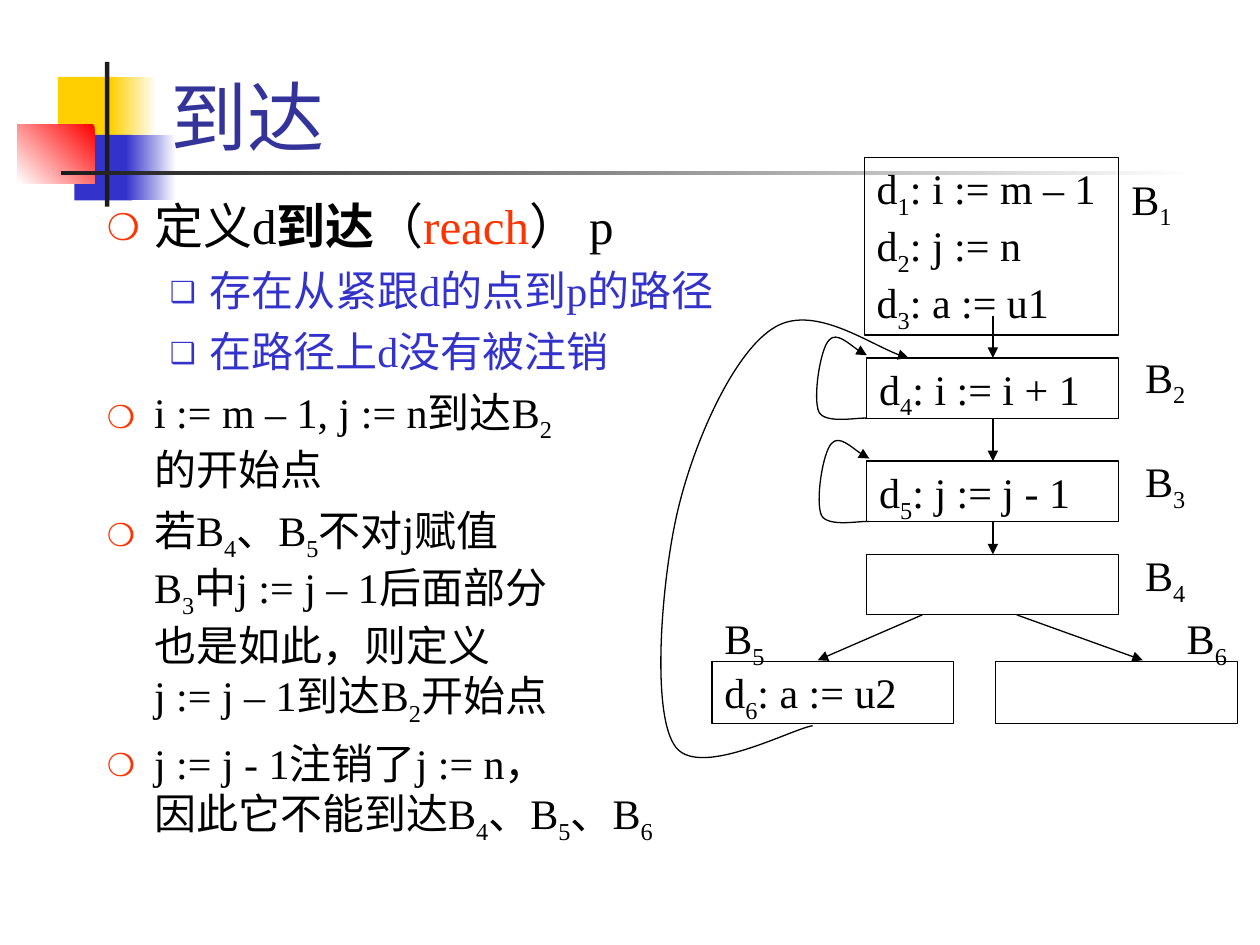
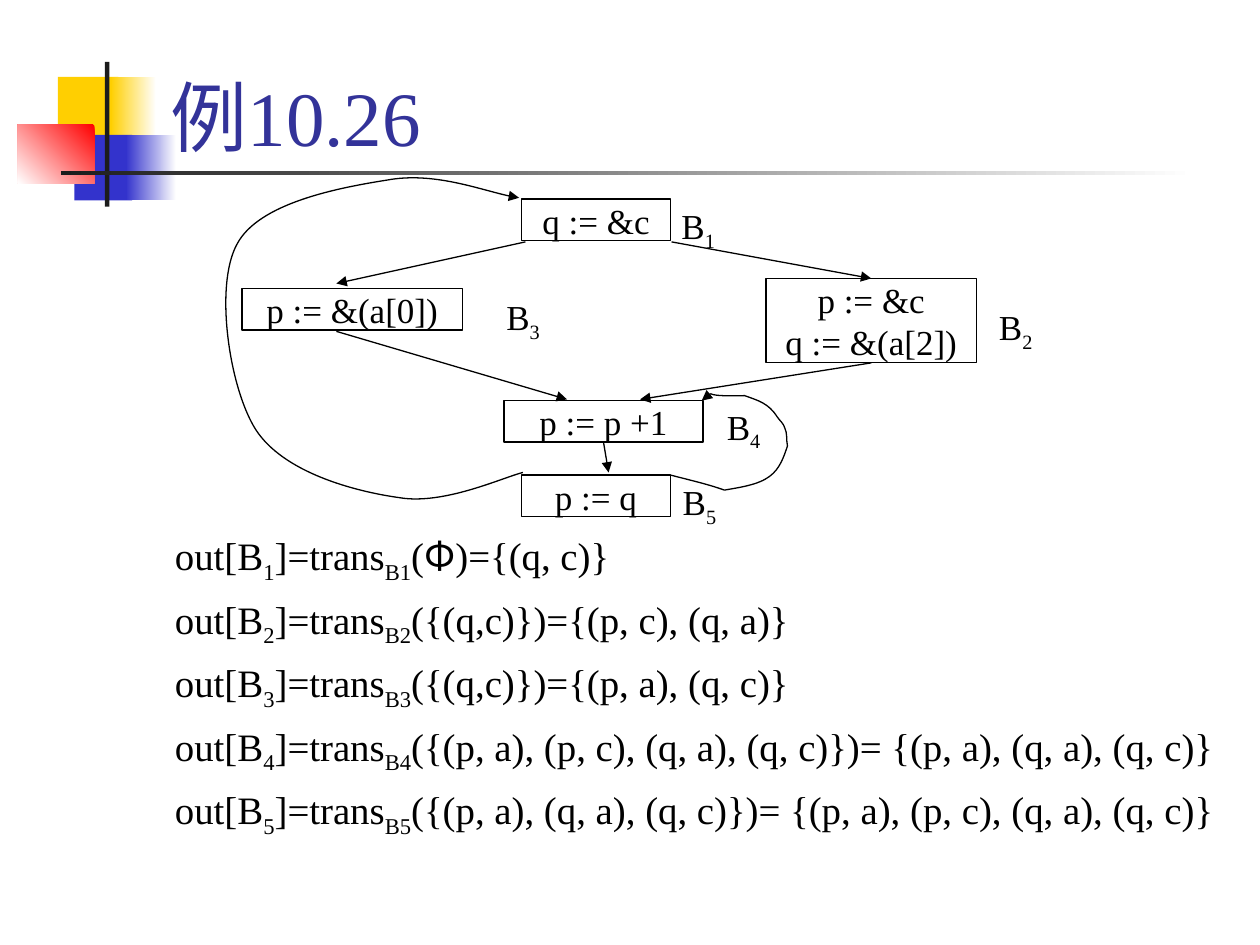
from dataclasses import dataclass
from typing import Optional, Union

import pptx
import pptx.dml.color
import pptx.enum.shapes
import pptx.enum.text
import pptx.oxml
import pptx.oxml.ns
import pptx.util
from lxml import etree

# The slide is a grid of 100 columns by 75 rows
WIDTH, HEIGHT = pptx.util.Inches(10), pptx.util.Inches(7.5)
CELL = WIDTH / 100
LATIN, CJK = "Times New Roman", "Noto Sans CJK SC"
COLORS = {
    "ink": "000000", "title": "333399", "blue": "3333CC", "accent": "FF3300",
    "yellow": "FFCF01", "red": "FF0000", "white": "FFFFFF", "bar": "1C1C1C",
}
# Inline marks that switch a format on and off
MARKS = {"_": "subscript", "*": "bold", "^": "accent", "~": "cjk"}
TOP, BOTTOM = 0, 2
Point = tuple[float, float]
Area = tuple[float, float, float, float]
End = Union[Point, tuple[str, int]]


@dataclass
class Band:
    area: Area
    start: str
    end: Optional[str] = None
    angle: int = 180


@dataclass
class Bullet:
    char: str
    color: str
    percent: int
    margin: float
    hang: float


@dataclass
class Block:
    name: str
    area: Area
    lines: list[str]
    label: Area
    label_spacing: float = 0.9


@dataclass
class Arrow:
    start: End
    end: End


@dataclass
class Flow:
    size: int
    blocks: list[Block]
    arrows: list[Arrow]
    curves: list[list[Point]]
    centered: bool = False


BANDS = [
    Band((4.6, 6.1, 4.8, 5.2), "yellow"),
    Band((8.8, 6.1, 3.6, 5.2), "white", "yellow"),
    Band((5.9, 10.7, 4.6, 5.2), "blue"),
    Band((10, 10.7, 4, 5.2), "white", "blue"),
    Band((1.4, 9.9, 6.1, 4.65), "red", "white", 135),
    Band((8.33, 4.9, 0.35, 11.5), "bar"),
    Band((4.83, 13.6, 90, 0.3), "white", "bar"),
]
CIRCLE = Bullet("❍", "accent", 75, 3.75, 3.75)
SQUARE = Bullet("❑", "blue", 69, 8.13, 3.13)
PLAIN = Bullet("", "ink", 100, 3.75, 3.75)

REACH_POINTS = [
    ("定义d*到达*（^reach^） p", CIRCLE, 28, "ink"),
    ("存在从紧跟d的点到p的路径", SQUARE, 24, "blue"),
    ("在路径上d没有被注销", SQUARE, 24, "blue"),
    ("i := m – 1, j := n到达B_2_\n的开始点", CIRCLE, 24, "ink"),
    ("若B_4_、B_5_不对j赋值\nB_3_中j := j – 1后面部分\n也是如此，则定义\n"
     "j := j – 1到达B_2_开始点", CIRCLE, 24, "ink"),
    ("j := j - 1注销了j := n，\n因此它不能到达B_4_、B_5_、B_6_", CIRCLE, 24, "ink"),
]
OUT_SETS = [
    "(~Φ~)={(q, c)}",
    "({(q,c)})={(p, c), (q, a)}",
    "({(q,c)})={(p, a), (q, c)}",
    "({(p, a), (p, c), (q, a), (q, c)})= {(p, a), (q, a), (q, c)}",
    "({(p, a), (q, a), (q, c)})= {(p, a), (p, c), (q, a), (q, c)}",
]


def self_loop(left: float, top: float) -> list[Point]:
    """Curve from a block's lower left corner back to its upper left corner."""
    steps = [(4.3, 6.9), (3.7, 6.8), (1, 7.4), (0.5, 6.4), (0, 5.3), (0.6, 1.4),
             (1.3, 0.7), (1.9, 0), (3.7, 1.7), (4.3, 1.9)]
    return [(left + x, top + y) for x, y in steps]


REACH_FLOW = Flow(
    size=24,
    blocks=[
        Block("B1", (68.6, 12.5, 20.2, 14.1),
              ["d_1_: i := m – 1", "d_2_: j := n", "d_3_: a := u1"], (88.8, 13.3, 5.8, 5.1)),
        Block("B2", (68.8, 28.4, 20, 4.8), ["d_4_: i := i + 1"], (89.9, 27.4, 6.7, 5.6), 1),
        Block("B3", (68.8, 36.6, 20, 4.8), ["d_5_: j := j - 1"], (89.9, 35.7, 6.7, 5.6), 1),
        Block("B4", (68.8, 44, 20, 4.75), [], (89.9, 43.2, 6.7, 5.1)),
        Block("B5", (56.5, 52.5, 19.2, 4.9), ["d_6_: a := u2"], (56.5, 48.2, 5.8, 5.1)),
        Block("B6", (79, 52.5, 19.2, 4.9), [], (93.2, 48.2, 5.8, 5.1)),
    ],
    arrows=[
        Arrow((78.8, 25.1), ("B2", TOP)),
        Arrow(("B2", BOTTOM), ("B3", TOP)),
        Arrow(("B3", BOTTOM), ("B4", TOP)),
        Arrow((73.2, 48.8), (64.9, 52.4)),
        Arrow((80.7, 48.8), (90.7, 52.4)),
    ],
    curves=[
        [(64.5, 57.6), (62.7, 57.9), (55.2, 62), (53.5, 59.1), (51.7, 56.3),
         (52.5, 46), (53.8, 40.5), (55.1, 35), (58.2, 28.1), (61.3, 26.1),
         (64.4, 24), (69.8, 27.9), (72.1, 28.4)],
        self_loop(64.5, 26.3),
        self_loop(64.7, 34.5),
    ],
)
POINTER_FLOW = Flow(
    size=20,
    centered=True,
    blocks=[
        Block("B1", (41.4, 15.8, 11.8, 3.3), ["q := &c"], (53.1, 15.8, 5.8, 4.4)),
        Block("B2", (60.8, 22.1, 16.7, 6.7), ["p := &c\nq := &(a[2])"], (78.3, 23.8, 5.8, 4.4)),
        Block("B3", (19.2, 22.9, 17.5, 3.3), ["p := &(a[0])"], (39.2, 23, 5.8, 4.4)),
        Block("B4", (40, 31.8, 15.8, 3.3), ["p := p +1"], (56.7, 31.7, 5.8, 4.4)),
        Block("B5", (41.4, 37.7, 11.8, 3.3), ["p := q"], (53.2, 37.7, 5.8, 4.4)),
    ],
    arrows=[
        Arrow((53.3, 19.2), ("B2", TOP)),
        Arrow(("B2", BOTTOM), (50.8, 31.7)),
        Arrow(("B4", BOTTOM), (48.3, 37.5)),
        Arrow((41.7, 19.2), (26.7, 22.5)),
        Arrow((26.7, 26.3), (45, 31.7)),
    ],
    curves=[
        [(41.5, 37.5), (39.9, 37.9), (35.2, 40.1), (31.7, 39.5), (28.1, 39),
         (22.5, 37.5), (20.3, 34.1), (18.2, 30.8), (17, 22.7), (18.8, 19.4),
         (20.5, 16.1), (26.9, 14.9), (30.7, 14.3), (34.4, 13.6), (39, 15.4),
         (41.2, 15.7)],
        [(53.2, 37.7), (54.7, 38.1), (56.1, 38.4), (57.5, 38.9), (58.6, 38.7),
         (60.2, 38.5), (61.1, 37.8), (61.9, 37.2), (62.2, 36.3), (62.5, 35.4),
         (62.4, 34.9), (62.5, 34.4), (62.3, 34), (62.2, 33.6), (61.9, 33.4),
         (61.7, 33.1), (61, 32), (60.2, 31.8), (59.1, 31.4), (55.9, 31.5),
         (56.8, 30.8), (55.7, 31.8)],
    ],
)


def cells(*counts: float) -> list[int]:
    return [round(count * CELL) for count in counts]


def rgb(name: str) -> pptx.dml.color.RGBColor:
    return pptx.dml.color.RGBColor.from_string(COLORS[name])


def child(parent, tag: str, **attributes: str):
    return etree.SubElement(parent, pptx.oxml.ns.qn(tag), attributes)


# Text
def add_para(frame, text: str, *, size: float, color: str = "ink", before: float = 0,
             spacing: Optional[float] = None, centered: bool = False,
             bullet: Optional[Bullet] = None) -> None:
    para = frame.paragraphs[0]
    if para.runs:
        para = frame.add_paragraph()
        para.space_before = pptx.util.Pt(before)
    if bullet:
        props = para._p.get_or_add_pPr()
        margin, hang = cells(bullet.margin, bullet.hang)
        props.set("marL", str(margin))
        props.set("indent", str(-hang))
        if bullet.char:
            child(child(props, "a:buClr"), "a:srgbClr", val=COLORS[bullet.color])
            child(props, "a:buSzPct", val=str(bullet.percent * 1000))
            child(props, "a:buFont", typeface=CJK)
            child(props, "a:buChar", char=bullet.char)
    if spacing:
        para.line_spacing = spacing
    align = pptx.enum.text.PP_ALIGN
    para.alignment = align.CENTER if centered else align.LEFT

    active: set[str] = set()
    piece = ""
    for letter in [*text, ""]:
        if letter and letter != "\n" and letter not in MARKS:
            piece += letter
            continue
        if piece:
            span = para.add_run()
            span.text = piece
            font = span.font
            font.size = pptx.util.Pt(size)
            font.bold = "bold" in active
            font.color.rgb = rgb("accent" if "accent" in active else color)
            font.name = CJK if "cjk" in active else LATIN
            props = span._r.get_or_add_rPr()
            child(props, "a:ea", typeface=CJK)
            if "subscript" in active:
                props.set("baseline", "-25000")
            piece = ""
        if letter == "\n":
            para.add_line_break()
        elif letter:
            active ^= {MARKS[letter]}


def add_text_box(page, area: Area):
    frame = page.shapes.add_textbox(*cells(*area)).text_frame
    frame.word_wrap = True
    return frame


# Shapes
def add_rectangle(page, area: Area):
    box = page.shapes.add_shape(pptx.enum.shapes.MSO_SHAPE.RECTANGLE, *cells(*area))
    box.shadow.inherit = False
    return box


def style_line(shape, arrow: bool = True) -> None:
    shape.line.color.rgb = rgb("ink")
    shape.line.width = pptx.util.Pt(0.75)
    if arrow:
        child(shape.line._get_or_add_ln(), "a:tailEnd", type="triangle")


def add_band(page, band: Band) -> None:
    box = add_rectangle(page, band.area)
    box.line.fill.background()
    if band.end:
        box.fill.gradient()
        box.fill.gradient_angle = 360 - band.angle
        for stop, name in zip(box.fill.gradient_stops, (band.start, band.end)):
            stop.color.rgb = rgb(name)
    else:
        box.fill.solid()
        box.fill.fore_color.rgb = rgb(band.start)


def add_block(page, block: Block, flow: Flow):
    box = add_rectangle(page, block.area)
    box.fill.background()
    style_line(box, arrow=False)
    frame = box.text_frame
    frame.word_wrap = True
    frame.vertical_anchor = pptx.enum.text.MSO_ANCHOR.TOP
    if flow.centered:
        frame.margin_left = frame.margin_right = frame.margin_top = frame.margin_bottom = 0
    for line in block.lines:
        add_para(frame, line, size=flow.size, before=3, centered=flow.centered,
                 spacing=None if flow.centered else 0.9)
    label = add_text_box(page, block.label)
    add_para(label, f"B_{block.name[1:]}_", size=flow.size, spacing=block.label_spacing)
    return box


def add_arrow(page, arrow: Arrow, boxes: dict) -> None:
    ends = [(0, 0) if isinstance(end[0], str) else end for end in (arrow.start, arrow.end)]
    line = page.shapes.add_connector(pptx.enum.shapes.MSO_CONNECTOR.STRAIGHT,
                                     *cells(*ends[0], *ends[1]))
    for end, connect in ((arrow.start, line.begin_connect), (arrow.end, line.end_connect)):
        if isinstance(end[0], str):
            connect(boxes[end[0]], end[1])
    style_line(line)
    child(line._element.spPr, "a:effectLst")


def add_curve(page, knots: list[Point]) -> None:
    """Draw joined cubic curves: a start, then two controls and an end for each."""
    builder = page.shapes.build_freeform(*cells(*knots[0]))
    builder.add_line_segments([cells(*knot) for knot in knots[1:]], close=False)
    curve = builder.convert_to_shape()
    # Turn each three straight segments into one cubic segment
    segments = list(curve._element.iter(pptx.oxml.ns.qn("a:lnTo")))
    for first in range(0, len(segments), 3):
        cubic = etree.Element(pptx.oxml.ns.qn("a:cubicBezTo"))
        segments[first].addprevious(cubic)
        for segment in segments[first:first + 3]:
            cubic.append(segment[0])
            segment.getparent().remove(segment)
    curve.shadow.inherit = False
    curve.fill.background()
    style_line(curve)


def add_flow(page, flow: Flow) -> None:
    boxes = {block.name: add_block(page, block, flow) for block in flow.blocks}
    for arrow in flow.arrows:
        add_arrow(page, arrow, boxes)
    for curve in flow.curves:
        add_curve(page, curve)


# Slides
def add_page(deck, title: str):
    page = deck.slides.add_slide(deck.slide_layouts[6])
    for band in BANDS:
        add_band(page, band)
    frame = add_text_box(page, (12.55, 0.85, 85.2, 12.5))
    frame.vertical_anchor = pptx.enum.text.MSO_ANCHOR.BOTTOM
    add_para(frame, title, size=44, color="title")
    return page


def main() -> None:
    deck = pptx.Presentation()
    deck.slide_width, deck.slide_height = WIDTH, HEIGHT

    page = add_page(deck, "到达")
    body = add_text_box(page, (7.5, 15, 85, 60))
    for text, bullet, size, color in REACH_POINTS:
        add_para(body, text, size=size, color=color, before=6, bullet=bullet)
    add_flow(page, REACH_FLOW)

    page = add_page(deck, "例10.26")
    body = add_text_box(page, (12.9, 41.7, 85, 32.5))
    for number, sets in enumerate(OUT_SETS, 1):
        add_para(body, f"out[B_{number}_]=trans_B{number}_{sets}", size=22.2, before=6,
                 bullet=PLAIN)
    add_flow(page, POINTER_FLOW)

    deck.save("out.pptx")


if __name__ == "__main__":
    main()
